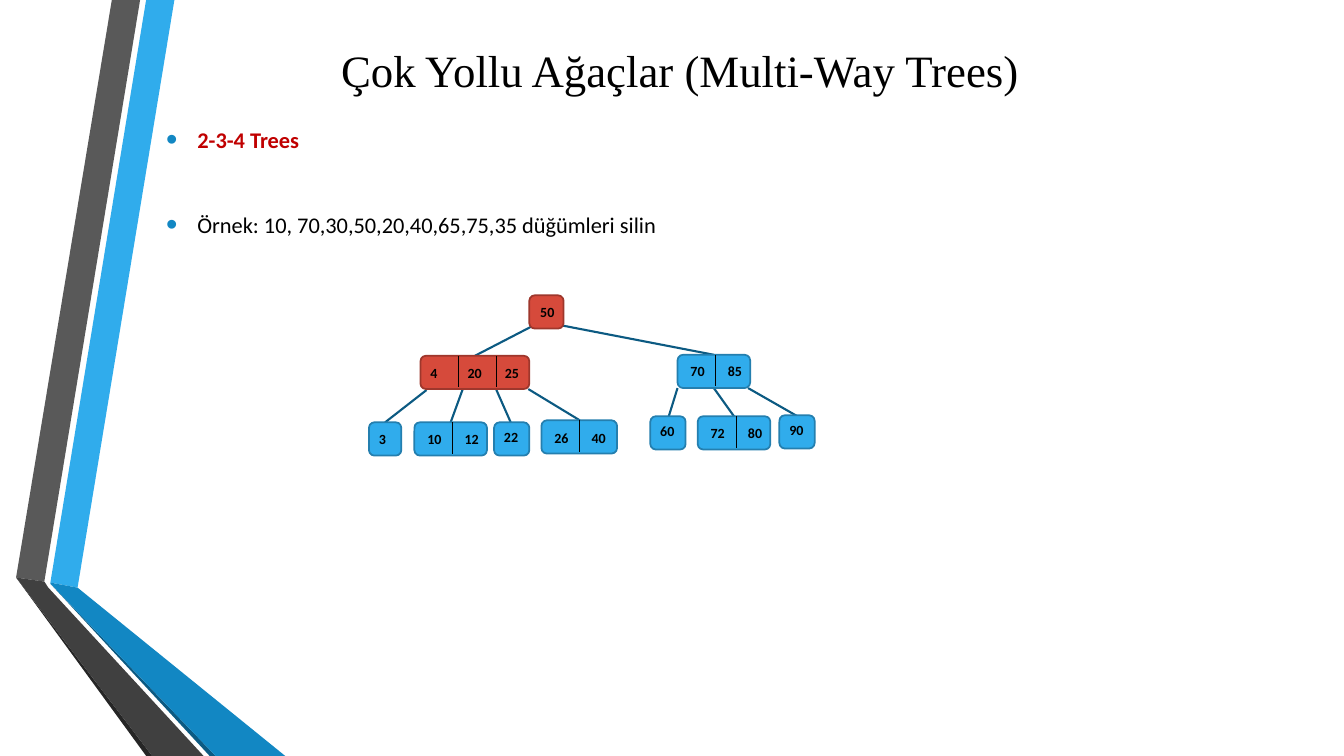
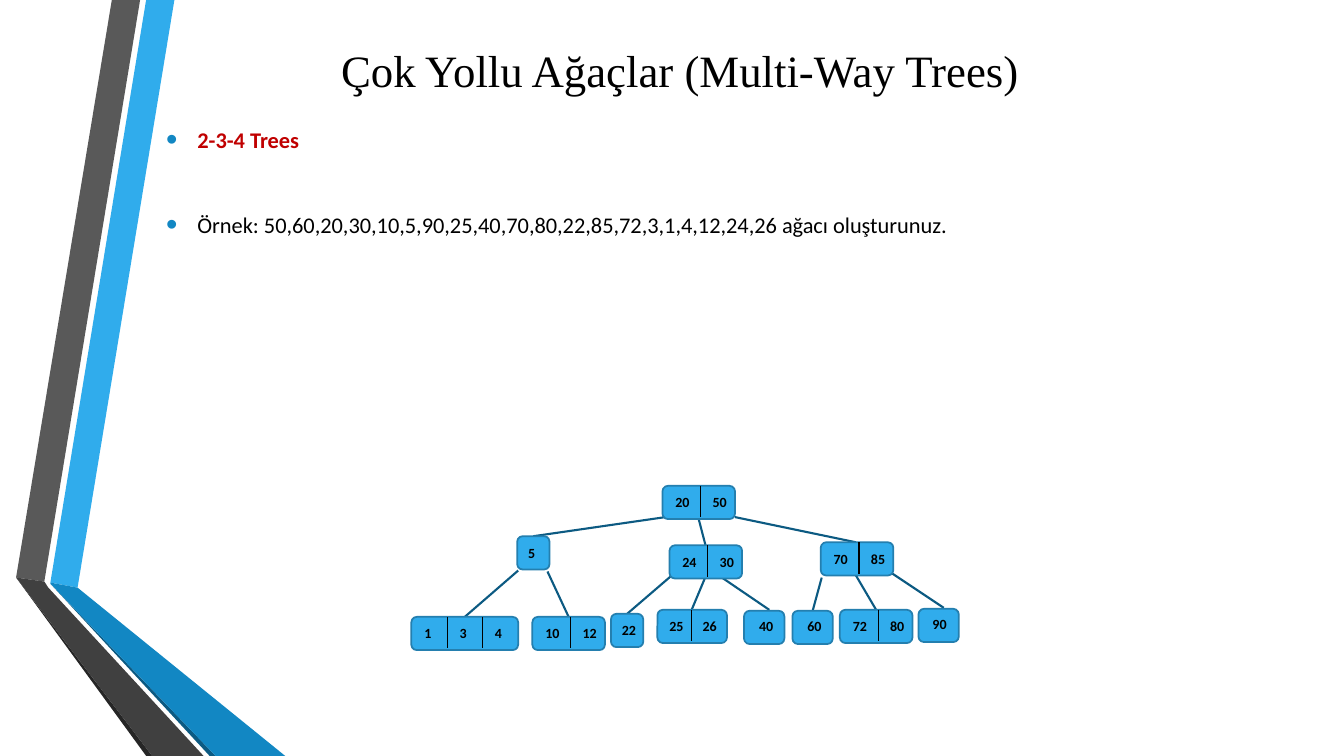
from dataclasses import dataclass

from lxml.etree import SubElement
from pptx import Presentation
from pptx.dml.color import RGBColor
from pptx.enum.shapes import MSO_CONNECTOR, MSO_SHAPE
from pptx.enum.text import MSO_ANCHOR, PP_ALIGN
from pptx.oxml.ns import qn
from pptx.util import Inches, Pt

COLORS = {
    "black": "000000",
    "blue": "30ACEC",
    "blue_line": "247FAF",
    "blue_fold": "1287C3",
    "navy": "0C5A82",
    "red": "D64A3B",
    "red_line": "9E372C",
    "heading": "C00000",
    "gray": "595959",
    "gray_fold": "404040",
    "gray_dark": "262626",
}
TITLE = "Çok Yollu Ağaçlar (Multi-Way Trees)"
HEADING = "2-3-4 Trees"
TITLE_FONT = {"name": "Times New Roman", "size": Pt(32), "bold": False}
HEADING_FONT = {"name": "Calibri", "size": Pt(16), "bold": True}
BODY_FONT = {"name": "Calibri", "size": Pt(16), "bold": False}
KEY_FONT = {"name": "Calibri", "size": Pt(10), "bold": True}

NODE_HEIGHT = 0.33
KEY_SIZE = (0.36, 0.27)


@dataclass(frozen=True)
class Band:
    color: str
    points: tuple[tuple[float, float], ...]


@dataclass(frozen=True)
class Node:
    left: float
    top: float
    width: float
    keys: tuple[str, ...]
    color: str = "blue"
    pad: float = 0.03
    drop: float = 0.03
    pitch: float = 0.37


@dataclass(frozen=True)
class Edge:
    x1: float
    y1: float
    x2: float
    y2: float


@dataclass(frozen=True)
class TreeSlide:
    example: str
    edges: tuple[Edge, ...]
    nodes: tuple[Node, ...]


BANDS = (
    Band("blue", ((0.5, 5.78), (0.77, 5.83), (1.73, 0), (1.45, 0))),
    Band("gray", ((1.39, 0), (1.11, 0), (0.16, 5.73), (0.44, 5.77))),
    Band("gray_dark", ((0.16, 5.73), (1.45, 7.5), (1.51, 7.5))),
    Band("navy", ((0.5, 5.79), (2.08, 7.5), (2.14, 7.5))),
    Band("blue_fold", ((0.5, 5.78), (0.5, 5.79), (2.14, 7.5), (2.83, 7.5), (0.77, 5.83))),
    Band("gray_fold", ((2.02, 7.5), (0.48, 5.83), (0.44, 5.77), (0.16, 5.73), (1.51, 7.5))),
)

SLIDES = (
    TreeSlide(
        "Örnek: 10, 70,30,50,20,40,65,75,35 düğümleri silin",
        edges=(
            Edge(5.29, 3.23, 4.71, 3.53),
            Edge(5.58, 3.23, 7.08, 3.52),
            Edge(4.23, 3.87, 3.82, 4.19),
            Edge(4.59, 3.86, 4.47, 4.19),
            Edge(4.92, 3.86, 5.07, 4.2),
            Edge(5.24, 3.86, 5.75, 4.17),
            Edge(6.72, 3.85, 6.63, 4.14),
            Edge(7.08, 3.85, 7.28, 4.13),
            Edge(7.42, 3.85, 7.91, 4.13),
        ),
        nodes=(
            Node(5.25, 2.93, 0.34, ("50",), "red", pad=0.01),
            Node(4.17, 3.53, 1.08, ("4", "20", "25"), "red", pad=0, drop=0.04),
            Node(6.72, 3.52, 0.72, ("70", "85")),
            Node(3.66, 4.19, 0.32, ("3",), pad=0),
            Node(4.11, 4.19, 0.72, ("10", "12")),
            Node(4.9, 4.19, 0.35, ("22",), pad=0, drop=0.01),
            Node(5.37, 4.17, 0.75, ("26", "40"), drop=0.04),
            Node(6.45, 4.13, 0.35, ("60",), pad=0, drop=0.01),
            Node(6.92, 4.13, 0.72, ("72", "80")),
            Node(7.73, 4.12, 0.35, ("90",), pad=0, drop=0.01),
        ),
    ),
    TreeSlide(
        "Örnek: 50,60,20,30,10,5,90,25,40,70,80,22,85,72,3,1,4,12,24,26 ağacı oluşturunuz.",
        edges=(
            Edge(6.6, 5.13, 5.29, 5.32),
            Edge(6.93, 5.15, 7, 5.42),
            Edge(7.29, 5.13, 8.49, 5.38),
            Edge(5.14, 5.66, 4.61, 6.12),
            Edge(5.43, 5.67, 5.64, 6.12),
            Edge(6.65, 5.72, 6.22, 6.09),
            Edge(6.99, 5.74, 6.86, 6.05),
            Edge(7.16, 5.73, 7.63, 6.05),
            Edge(8.15, 5.73, 8.06, 6.06),
            Edge(8.49, 5.71, 8.69, 6.05),
            Edge(8.85, 5.69, 9.36, 6.03),
        ),
        nodes=(
            Node(6.57, 4.82, 0.72, ("20", "50")),
            Node(5.13, 5.32, 0.32, ("5",), pad=0.01),
            Node(6.64, 5.41, 0.72, ("24", "30")),
            Node(8.14, 5.38, 0.72, ("70", "85")),
            Node(4.08, 6.12, 1.06, ("1", "3", "4"), pitch=0.35),
            Node(5.28, 6.12, 0.72, ("10", "12")),
            Node(6.06, 6.09, 0.32, ("22",), pad=0.01),
            Node(6.52, 6.05, 0.69, ("25", "26"), pad=0.02, pitch=0.33),
            Node(7.38, 6.06, 0.4, ("40",), pad=0.05, drop=0.02),
            Node(7.86, 6.06, 0.4, ("60",), pad=0.05, drop=0.02),
            Node(8.33, 6.05, 0.72, ("72", "80")),
            Node(9.11, 6.04, 0.4, ("90",), pad=0.04, drop=0.02),
        ),
    ),
)


def rgb(name: str) -> RGBColor:
    return RGBColor.from_string(COLORS[name])


def add_run(p, text: str, font: dict, color: str = "black") -> None:
    r = p.add_run()
    r.text = text
    for attr, value in font.items():
        setattr(r.font, attr, value)
    r.font.color.rgb = rgb(color)


def add_bullet(p) -> None:
    """Give the paragraph a hanging, coloured bullet; call after spacing is set."""
    pPr = p._p.get_or_add_pPr()
    pPr.set("marL", str(Inches(0.31)))
    pPr.set("indent", str(-Inches(0.31)))
    SubElement(SubElement(pPr, qn("a:buClr")), qn("a:srgbClr"), val=COLORS["blue_fold"])
    SubElement(pPr, qn("a:buSzPct"), val="145000")
    SubElement(pPr, qn("a:buFont"), typeface="Arial")
    SubElement(pPr, qn("a:buChar"), char="•")


def add_line(shapes, edge: Edge, color: str, width: float) -> None:
    ends = (Inches(v) for v in (edge.x1, edge.y1, edge.x2, edge.y2))
    line = shapes.add_connector(MSO_CONNECTOR.STRAIGHT, *ends)
    line.line.color.rgb = rgb(color)
    line.line.width = Pt(width)
    SubElement(line._element.spPr, qn("a:effectLst"))


def add_bands(s) -> None:
    shapes = s.shapes.add_group_shape().shapes
    for band in BANDS:
        start, *rest = [(Inches(x), Inches(y)) for x, y in band.points]
        builder = shapes.build_freeform(*start)
        builder.add_line_segments(rest, close=True)
        sp = builder.convert_to_shape()
        sp.shadow.inherit = False
        sp.fill.solid()
        sp.fill.fore_color.rgb = rgb(band.color)
        sp.line.fill.background()


def add_title(s) -> None:
    title = s.shapes.title
    box = {"left": 1.55, "top": 0.17, "width": 10.39, "height": 1.04}
    for attr, value in box.items():
        setattr(title, attr, Inches(value))
    tf = title.text_frame
    tf.vertical_anchor = MSO_ANCHOR.MIDDLE
    p = tf.paragraphs[0]
    p.alignment = PP_ALIGN.CENTER
    add_run(p, TITLE, TITLE_FONT)


def add_body(s, example: str) -> None:
    sp = s.shapes.add_textbox(Inches(1.55), Inches(1.07), Inches(10.39), Inches(2.15))
    tf = sp.text_frame
    tf.word_wrap = True
    heading, body = tf.paragraphs[0], tf.add_paragraph()
    body.space_before = Pt(32)
    for p in (heading, body):
        p.line_spacing = 1.5
        add_bullet(p)
    add_run(heading, HEADING, HEADING_FONT, "heading")
    add_run(body, example, BODY_FONT)


def add_node(shapes, node: Node) -> None:
    box = (Inches(v) for v in (node.left, node.top, node.width, NODE_HEIGHT))
    sp = shapes.add_shape(MSO_SHAPE.ROUNDED_RECTANGLE, *box)
    sp.shadow.inherit = False
    sp.fill.solid()
    sp.fill.fore_color.rgb = rgb(node.color)
    sp.line.color.rgb = rgb(f"{node.color}_line")
    sp.line.width = Pt(1.25)
    for i, key in enumerate(node.keys):
        offset = i * node.pitch
        if i:
            x = node.left + offset + 0.01
            add_line(shapes, Edge(x, node.top, x, node.top + 0.31), "black", 0.75)
        place = (node.left + node.pad + offset, node.top + node.drop, *KEY_SIZE)
        label = shapes.add_textbox(*(Inches(v) for v in place))
        label.text_frame.word_wrap = True
        add_run(label.text_frame.paragraphs[0], key, KEY_FONT)


def add_tree(s, tree: TreeSlide) -> None:
    shapes = s.shapes.add_group_shape().shapes
    for edge in tree.edges:
        add_line(shapes, edge, "navy", 1.5)
    for node in tree.nodes:
        add_node(shapes, node)


def main() -> None:
    prs = Presentation()
    prs.slide_width, prs.slide_height = Inches(13.33), Inches(7.5)
    title_only = prs.slide_layouts[5]
    for tree in SLIDES:
        s = prs.slides.add_slide(title_only)
        add_bands(s)
        add_title(s)
        add_body(s, tree.example)
        add_tree(s, tree)
    prs.save("out.pptx")


if __name__ == "__main__":
    main()
